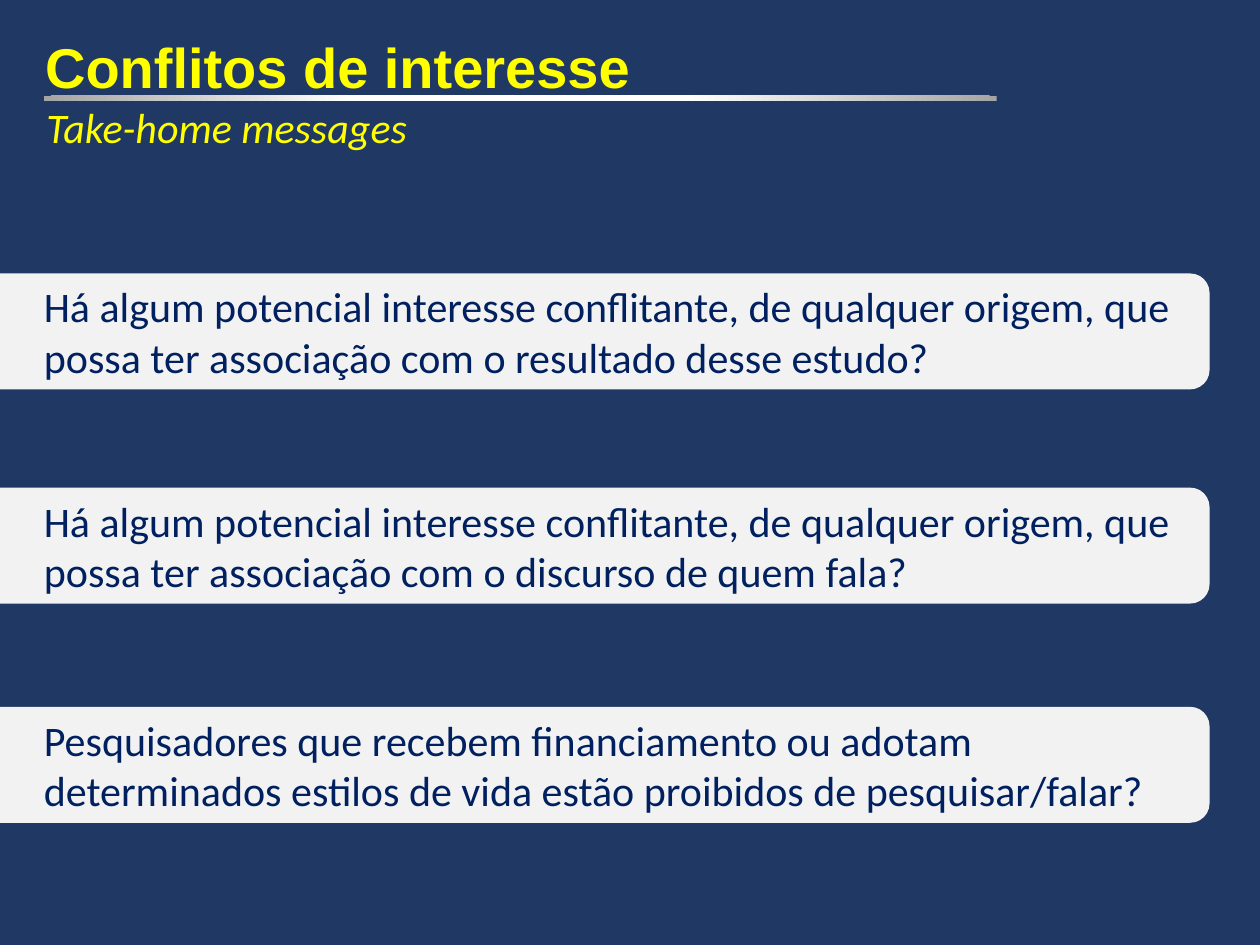
from dataclasses import dataclass

from lxml import etree
from pptx import Presentation
from pptx.dml.color import RGBColor
from pptx.enum.shapes import MSO_SHAPE
from pptx.enum.text import MSO_AUTO_SIZE
from pptx.oxml import parse_xml
from pptx.oxml.ns import nsdecls
from pptx.util import Inches, Pt

RECT = MSO_SHAPE.RECTANGLE
ROUNDED = MSO_SHAPE.ROUNDED_RECTANGLE
FIT_SHAPE = MSO_AUTO_SIZE.SHAPE_TO_FIT_TEXT

NAVY, YELLOW, LIGHT, INK = "203864", "FFFF00", "F2F2F2", "002060"
RULE_STOPS = [(0, "FFFFFF"), (35, "FFFFFF"), (100, "A5A5A5")]


@dataclass
class Message:
    top: float
    text: str


MESSAGES = [
    Message(2.17, "Há algum potencial interesse conflitante, de qualquer origem, "
                  "que possa ter associação com o resultado desse estudo?"),
    Message(3.87, "Há algum potencial interesse conflitante, de qualquer origem, "
                  "que possa ter associação com o discurso de quem fala?"),
    Message(5.61, "Pesquisadores que recebem financiamento ou adotam "
                  "determinados estilos de vida estão proibidos de pesquisar/falar?"),
]


def rgb(value: str) -> RGBColor:
    return RGBColor.from_string(value)


def add_box(s, shape_type, left: float, top: float, width: float, height: float):
    sp = s.shapes.add_shape(shape_type, Inches(left), Inches(top),
                            Inches(width), Inches(height))
    sp.shadow.inherit = False
    sp.line.fill.background()
    return sp


def add_text(s, text: str, left: float, top: float, width: float, height: float,
             color: str, size: int = 24, font: str = "Calibri",
             wrap: bool = True):
    sp = s.shapes.add_textbox(Inches(left), Inches(top),
                              Inches(width), Inches(height))
    tf = sp.text_frame
    tf.word_wrap = wrap
    p = tf.paragraphs[0]
    p.text = text
    p.font.name = font
    p.font.size = Pt(size)
    p.font.color.rgb = rgb(color)
    return sp


def add_rule(s) -> None:
    """Thin bar with a radial gradient, white in the middle."""
    sp = add_box(s, RECT, 0.35, 0.76, 7.56, 0.04)
    sp.fill.background()
    grad = parse_xml(f'<a:gradFill {nsdecls("a")} rotWithShape="1"><a:gsLst/>'
                     '<a:path path="circle"><a:fillToRect l="50000" t="-80000" '
                     'r="50000" b="180000"/></a:path></a:gradFill>')
    for pos, color in RULE_STOPS:
        stop = etree.SubElement(grad[0], grad[0].tag.replace("gsLst", "gs"),
                                pos=str(pos * 1000))
        etree.SubElement(stop, stop.tag.replace("gs", "srgbClr"), val=color)
    props = sp.element.spPr
    no_fill = props.find(grad.tag.replace("gradFill", "noFill"))
    props.replace(no_fill, grad)


def add_message(s, message: Message) -> None:
    bar = add_box(s, ROUNDED, -0.36, message.top, 9.96, 0.92)
    bar.fill.solid()
    bar.fill.fore_color.rgb = rgb(LIGHT)
    label = add_text(s, message.text, 0.25, message.top + 0.01, 9.2, 0.91, INK)
    label.text_frame.auto_size = FIT_SHAPE


def main() -> None:
    prs = Presentation()
    prs.slide_width, prs.slide_height = Inches(10), Inches(7.5)
    s = prs.slides.add_slide(prs.slide_layouts[6])
    s.background.fill.solid()
    s.background.fill.fore_color.rgb = rgb(NAVY)

    # Heading
    title = add_text(s, "Conflitos de interesse", 0.26, 0.22, 9.73, 1.42,
                     YELLOW, 32, "Arial")
    title.text_frame.margin_top = Inches(0.04)
    title.text_frame.paragraphs[0].font.bold = True
    add_rule(s)
    subtitle = add_text(s, "Take-home messages", 0.27, 0.76, 3.1, 0.5,
                        YELLOW, wrap=False)
    subtitle.text_frame.auto_size = FIT_SHAPE
    subtitle.text_frame.paragraphs[0].font.italic = True

    # Messages
    for message in MESSAGES:
        add_message(s, message)

    prs.save("out.pptx")


if __name__ == "__main__":
    main()
